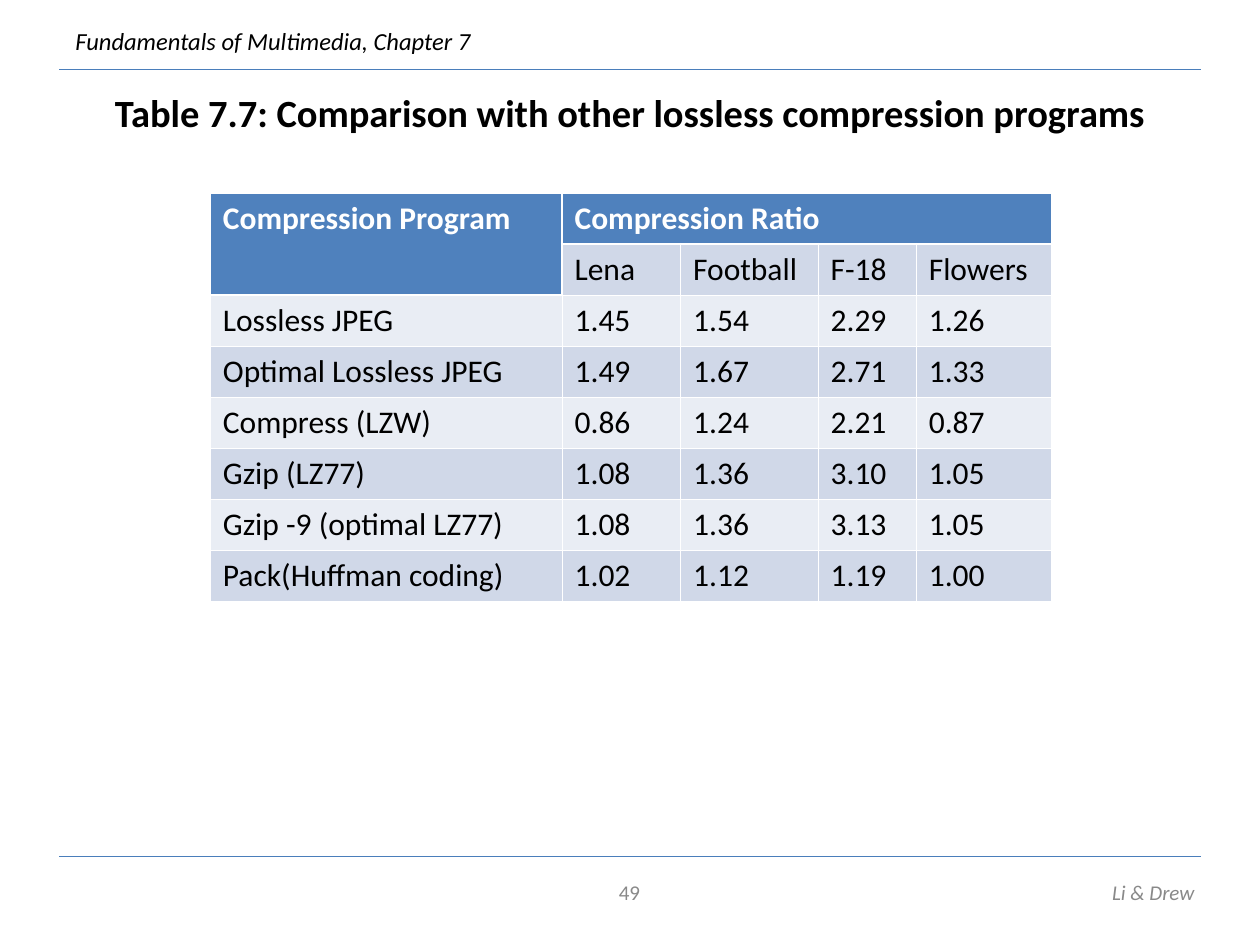
from pptx import Presentation
from pptx.dml.color import RGBColor as RGB
from pptx.enum.shapes import MSO_CONNECTOR as CONN
from pptx.enum.text import MSO_ANCHOR as ANCHOR, PP_ALIGN as ALIGN
from pptx.oxml.ns import qn
from pptx.util import Cm, Pt
from lxml.etree import SubElement

COLORS = {"text": "000000", "white": "FFFFFF", "rule": "4A7EBB", "header": "4F81BD",
          "dark": "D0D8E8", "light": "E9EDF4", "muted": "898989"}
THIN, THICK = 0.45, 1.47

COL_WIDTHS = [7.09, 2.39, 2.77, 1.98, 2.72]
ROW_HEIGHT = 1.03
ROWS = [
    ["Compression Program", "Compression Ratio", "", "", ""],
    ["", "Lena", "Football", "F-18", "Flowers"],
    ["Lossless JPEG", "1.45", "1.54", "2.29", "1.26"],
    ["Optimal Lossless JPEG", "1.49", "1.67", "2.71", "1.33"],
    ["Compress (LZW)", "0.86", "1.24", "2.21", "0.87"],
    ["Gzip (LZ77)", "1.08", "1.36", "3.10", "1.05"],
    ["Gzip -9 (optimal LZ77)", "1.08", "1.36", "3.13", "1.05"],
    ["Pack(Huffman coding)", "1.02", "1.12", "1.19", "1.00"],
]


class Deck:
    font = "Calibri"

    def __init__(self, width, height):
        self.prs = Presentation()
        self.prs.slide_width, self.prs.slide_height = Cm(width), Cm(height)
        self.s = self.prs.slides.add_slide(self.prs.slide_layouts[5])

    def color(self, name):
        return RGB.from_string(COLORS[name])

    def add_text(self, tf, text, size, color="text", align=ALIGN.LEFT, **formats):
        p = tf.paragraphs[0]
        p.alignment = align
        r = p.add_run()
        r.text = text
        r.font.color.rgb = self.color(color)
        for key, value in {"name": self.font, "size": Pt(size), **formats}.items():
            setattr(r.font, key, value)
        return p

    def title(self, text, x, y, w, h):
        sp = self.s.shapes.title
        sp.left, sp.top, sp.width, sp.height = Cm(x), Cm(y), Cm(w), Cm(h)
        tf = sp.text_frame
        frame = {"margin_left": 0, "margin_right": 0, "margin_bottom": 0,
                 "margin_top": Cm(0.19), "vertical_anchor": ANCHOR.TOP}
        for key, value in frame.items():
            setattr(tf, key, value)
        p = self.add_text(tf, text, 22, align=ALIGN.CENTER, bold=True)
        p.line_spacing = 0.8

    def label(self, text, x, y, w, h, size, wrap=True, anchor=ANCHOR.MIDDLE, **formats):
        tf = self.s.shapes.add_textbox(Cm(x), Cm(y), Cm(w), Cm(h)).text_frame
        tf.word_wrap, tf.vertical_anchor = wrap, anchor
        self.add_text(tf, text, size, **formats)

    def rule(self, x1, x2, y):
        line = self.s.shapes.add_connector(CONN.STRAIGHT, Cm(x1), Cm(y), Cm(x2), Cm(y))
        line.line.color.rgb, line.line.width = self.color("rule"), Pt(0.75)
        SubElement(line._element.spPr, qn("a:effectLst"))

    def borders(self, cell, widths):
        tcPr = cell._tc.get_or_add_tcPr()
        for side, width in zip("LRTB", widths):
            ln = SubElement(tcPr, qn(f"a:ln{side}"), w=str(Pt(width)))
            fill = SubElement(ln, qn("a:solidFill"))
            SubElement(fill, qn("a:srgbClr"), val=COLORS["white"])

    def table(self, rows, col_widths, row_height, x, y):
        tbl = self.s.shapes.add_table(len(rows), len(col_widths), Cm(x), Cm(y),
                                      Cm(sum(col_widths)), Cm(row_height * len(rows))).table
        for column, width in zip(tbl.columns, col_widths):
            column.width = Cm(width)
        for i, row in enumerate(rows):
            tbl.rows[i].height = Cm(row_height)
            for j, text in enumerate(row):
                cell = tbl.cell(i, j)
                header = i == 0 or (i == 1 and j == 0)
                # Thick lines run around the header cells
                thick = (i < 2 and j == 1, i < 2 and j == 0,
                         (i == 1 and j > 0) or (i == 2 and j == 0),
                         (i == 0 and j > 0) or (i == 1 and j == 0))
                self.borders(cell, [THICK if t else THIN for t in thick])
                cell.fill.solid()
                band = "dark" if i % 2 else "light"
                cell.fill.fore_color.rgb = self.color("header" if header else band)
                if text:
                    self.add_text(cell.text_frame, text, 18,
                                  "white" if header else "text", bold=header)
        tbl.cell(0, 0).merge(tbl.cell(1, 0))
        tbl.cell(0, 1).merge(tbl.cell(0, len(col_widths) - 1))


def main():
    deck = Deck(25.4, 19.05)

    # Running header and the two rules
    deck.label("Fundamentals of Multimedia, Chapter 7", 1.27, 0.41, 8.51, 0.86, 14,
               wrap=False, anchor=ANCHOR.TOP, italic=True)
    for y in (1.4, 17.27):
        deck.rule(1.19, 24.21, y)

    # Title and comparison table
    deck.title("Table 7.7: Comparison with other lossless compression programs",
               1.27, 1.78, 22.86, 1.78)
    deck.table(ROWS, COL_WIDTHS, ROW_HEIGHT, 4.24, 3.89)

    # Footer
    deck.label("Li & Drew", 16.28, 17.48, 8.05, 1.02, 12, color="muted",
               align=ALIGN.RIGHT, italic=True)
    deck.label("49", 9.73, 17.48, 5.92, 1.02, 12, color="muted", align=ALIGN.CENTER)

    deck.prs.save("out.pptx")


if __name__ == "__main__":
    main()
